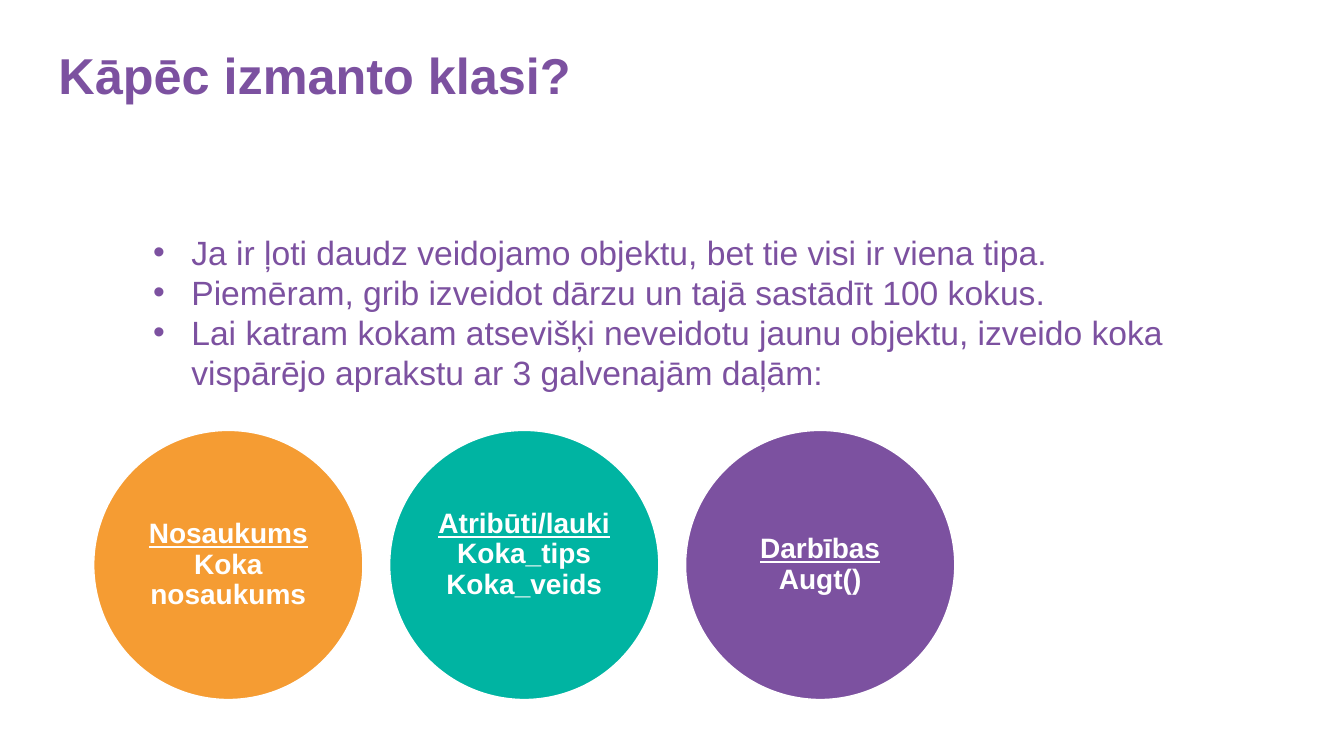
import pptx
import pptx.util
import pptx.dml.color
import pptx.enum.shapes
import pptx.enum.text
import pptx.oxml
from pptx.oxml.ns import nsdecls
from pptx.util import Inches

PURPLE, ORANGE, TEAL, WHITE = "7C51A0", "F59C33", "00B4A2", "FFFFFF"
TITLE = "Kāpēc izmanto klasi?"
REASONS = [
    "Ja ir ļoti daudz veidojamo objektu, bet tie visi ir viena tipa.",
    "Piemēram, grib izveidot dārzu un tajā sastādīt 100 kokus.",
    "Lai katram kokam atsevišķi neveidotu jaunu objektu, izveido koka "
    "vispārējo aprakstu ar 3 galvenajām daļām:",
]
CLASS_PARTS = [
    (ORANGE, 0.08, ["Nosaukums", "Koka nosaukums"]),
    (TEAL, 0.28, ["Atribūti/lauki", "Koka_tips", "Koka_veids"]),
    (PURPLE, 0.08, ["Darbības", "Augt()"]),
]
CIRCLE_LEFT, CIRCLE_TOP, CIRCLE_SIZE, CIRCLE_STEP = 0.93, 4.27, 2.67, 2.935


def color(value):
    return pptx.dml.color.RGBColor.from_string(value)


def add_bullet(para):
    properties = para._p.get_or_add_pPr()
    properties.set("marL", str(Inches(0.38)))
    properties.set("indent", str(Inches(-0.38)))
    for markup in (
        f'<a:buClr {nsdecls("a")}><a:srgbClr val="{PURPLE}"/></a:buClr>',
        f'<a:buFont {nsdecls("a")} typeface="Arial"/>',
        f'<a:buChar {nsdecls("a")} char="•"/>',
    ):
        properties.append(pptx.oxml.parse_xml(markup))


def write(frame, lines, size, ink, bold=False, align="LEFT", anchor="TOP",
          spacing=None, bullets=False, underline_first=False):
    frame.word_wrap = True
    frame.auto_size = pptx.enum.text.MSO_AUTO_SIZE.NONE
    frame.vertical_anchor = getattr(pptx.enum.text.MSO_ANCHOR, anchor)
    for index, line in enumerate(lines):
        para = frame.paragraphs[0] if index == 0 else frame.add_paragraph()
        if bullets:
            add_bullet(para)
        para.alignment = getattr(pptx.enum.text.PP_ALIGN, align)
        para.line_spacing = spacing
        span = para.add_run()
        span.text = line
        span.font.name = "Arial"
        span.font.size = pptx.util.Pt(size)
        span.font.bold = bold
        span.font.underline = underline_first and index == 0
        span.font.color.rgb = color(ink)


def add_circle(page, left, fill, bottom_inset, lines):
    circle = page.shapes.add_shape(
        pptx.enum.shapes.MSO_SHAPE.FLOWCHART_CONNECTOR,
        Inches(left), Inches(CIRCLE_TOP), Inches(CIRCLE_SIZE), Inches(CIRCLE_SIZE))
    circle.shadow.inherit = False
    circle.fill.solid()
    circle.fill.fore_color.rgb = color(fill)
    circle.line.color.rgb = color(WHITE)
    circle.line.width = pptx.util.Pt(1)
    frame = circle.text_frame
    frame.margin_left = frame.margin_right = frame.margin_top = Inches(0.08)
    frame.margin_bottom = Inches(bottom_inset)
    write(frame, lines, 20, WHITE, bold=True, align="CENTER", anchor="MIDDLE",
          spacing=0.9, underline_first=True)


def main():
    deck = pptx.Presentation()
    deck.slide_width, deck.slide_height = Inches(13.33), Inches(7.5)
    page = deck.slides.add_slide(deck.slide_layouts[5])

    title = page.shapes.title
    title.left, title.top = Inches(0.48), Inches(0.46)
    title.width, title.height = Inches(9.35), Inches(1.41)
    write(title.text_frame, [TITLE], 36, PURPLE, bold=True, spacing=0.9)

    box = page.shapes.add_textbox(Inches(1.42), Inches(2.25), Inches(10.7), Inches(4.05))
    write(box.text_frame, REASONS, 24, PURPLE, spacing=pptx.util.Pt(28.6), bullets=True)

    for index, (fill, bottom_inset, lines) in enumerate(CLASS_PARTS):
        add_circle(page, CIRCLE_LEFT + index * CIRCLE_STEP, fill, bottom_inset, lines)

    deck.save("out.pptx")


if __name__ == "__main__":
    main()
